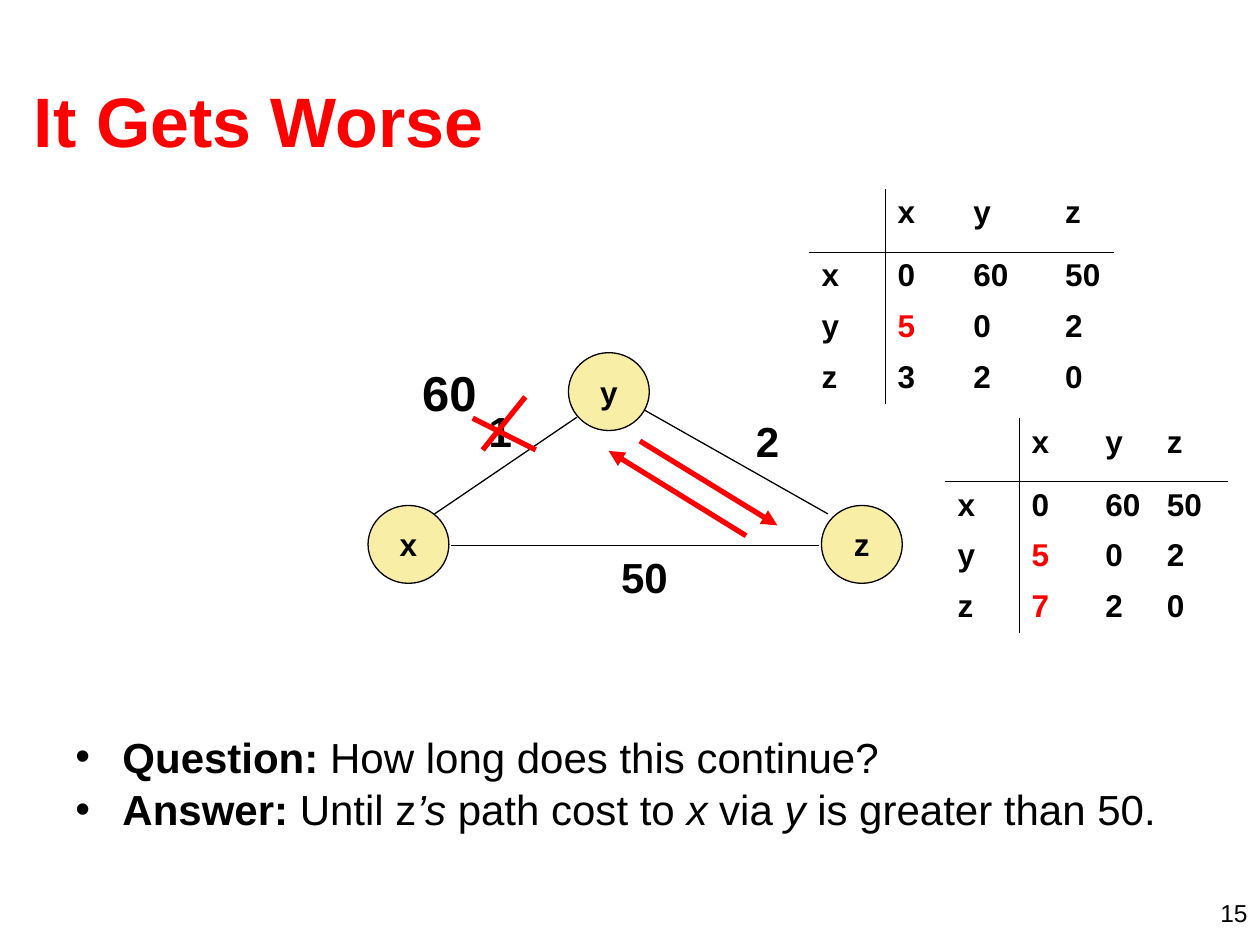
from dataclasses import dataclass
from typing import NamedTuple

from lxml.etree import SubElement
from pptx import Presentation
from pptx.dml.color import RGBColor as RGB
from pptx.enum.shapes import MSO_CONNECTOR as Connector, MSO_SHAPE as Shape
from pptx.enum.text import MSO_ANCHOR as Anchor, PP_ALIGN as Align
from pptx.oxml.ns import qn
from pptx.util import Cm, Pt


@dataclass(frozen=True)
class Theme:
    font: str = "Arial"
    ink: RGB = RGB(0x00, 0x00, 0x00)
    accent: RGB = RGB(0xFF, 0x00, 0x00)
    node: RGB = RGB(0xF8, 0xEE, 0xA6)
    title: int = 40
    new_cost: int = 28
    body: int = 24
    small: int = 18
    number: int = 14
    thin: float = 0.75
    thick: float = 3
    rule: float = 0.45


class Run(NamedTuple):
    text: str
    bold: bool = False
    italic: bool = False


class Node(NamedTuple):
    name: str
    left: float
    top: float


class Line(NamedTuple):
    start: tuple[float, float]
    end: tuple[float, float]
    red: bool = False
    arrow: bool = False


class Label(NamedTuple):
    text: str
    left: float
    top: float
    size: int


class CostTable(NamedTuple):
    left: float
    top: float
    widths: list[float]
    costs: list[list[int]]
    changed: set[tuple[int, int]]


T = Theme()
NAMES = ["x", "y", "z"]
NODE_WIDTH, NODE_HEIGHT = 1.63, 1.57
HEADER_HEIGHT, ROW_HEIGHT = 1.27, 1.02

NODES = [Node("y", 11.46, 7.11), Node("x", 7.42, 10.19), Node("z", 16.56, 10.19)]
LINKS = [
    Line((9.09, 11), (16.51, 11)),
    Line((8.76, 10.36), (11.63, 8.41)),
    Line((12.98, 8.26), (16.69, 10.36)),
]
LABELS = [
    Label("1", 9.6, 8.05, T.body),
    Label("2", 14.99, 8.26, T.body),
    Label("50", 12.27, 11, T.body),
    Label("60", 8.26, 7.19, T.new_cost),
]
CROSS_AND_UPDATES = [
    Line((9.53, 8.43), (10.8, 9.07), red=True),
    Line((10.59, 8), (9.73, 9.07), red=True),
    Line((12.9, 8.89), (15.67, 10.59), red=True, arrow=True),
    Line((15.04, 10.8), (12.27, 9.09), red=True, arrow=True),
]
TABLES = [
    CostTable(16.31, 3.81, [1.53, 1.53, 1.85, 1.23],
              [[0, 60, 50], [5, 0, 2], [3, 2, 0]], {(2, 1)}),
    CostTable(19.05, 8.43, [1.49, 1.49, 1.24, 1.48],
              [[0, 60, 50], [5, 0, 2], [7, 2, 0]], {(2, 1), (3, 1)}),
]
BULLETS = [
    [Run("Question:", bold=True), Run(" How long does this continue?")],
    [Run("Answer:", bold=True), Run(" Until z"), Run("’s ", italic=True),
     Run("path cost to "), Run("x", italic=True), Run(" via "),
     Run("y ", italic=True), Run("is greater than 50.")],
]


def add_run(p, run: Run, size: int, color: RGB = T.ink) -> None:
    r = p.add_run()
    r.text = run.text
    r.font.name, r.font.size = T.font, Pt(size)
    r.font.bold, r.font.italic = run.bold, run.italic
    r.font.color.rgb = color


def add_box(s, left: float, top: float, width: float, height: float):
    tf = s.shapes.add_textbox(Cm(left), Cm(top), Cm(width), Cm(height)).text_frame
    tf.word_wrap = True
    return tf


def add_title(s, text: str) -> None:
    sp = s.shapes.title
    sp.left, sp.top, sp.width, sp.height = Cm(0.43), Cm(0.81), Cm(24.33), Cm(3.18)
    sp.text_frame.vertical_anchor = Anchor.MIDDLE
    p = sp.text_frame.paragraphs[0]
    p.alignment = Align.LEFT
    add_run(p, Run(text, bold=True), T.title, T.accent)


def add_node(s, node: Node) -> None:
    sp = s.shapes.add_shape(Shape.OVAL, Cm(node.left), Cm(node.top),
                            Cm(NODE_WIDTH), Cm(NODE_HEIGHT))
    sp.shadow.inherit = False
    sp.fill.solid()
    sp.fill.fore_color.rgb = T.node
    sp.line.color.rgb, sp.line.width = T.ink, Pt(T.thin)
    tf = sp.text_frame
    tf.word_wrap, tf.vertical_anchor = False, Anchor.MIDDLE
    tf.paragraphs[0].alignment = Align.CENTER
    add_run(tf.paragraphs[0], Run(node.name, bold=True), T.small)


def add_line(s, line: Line) -> None:
    cx = s.shapes.add_connector(Connector.STRAIGHT, *map(Cm, line.start + line.end))
    cx.line.color.rgb = T.accent if line.red else T.ink
    cx.line.width = Pt(T.thick if line.red else T.thin)
    if line.arrow:
        SubElement(cx.line._get_or_add_ln(), qn("a:tailEnd"), type="triangle")
    SubElement(cx._element.spPr, qn("a:effectLst"))


def add_label(s, label: Label) -> None:
    tf = add_box(s, label.left, label.top, 0.6 + 0.55 * len(label.text), 1.27)
    add_run(tf.paragraphs[0], Run(label.text, bold=True), label.size)


def set_borders(cell, ruled: set[str]) -> None:
    """Rule the named edges (L, R, T, B) and clear the others."""
    tc_pr = cell._tc.get_or_add_tcPr()
    for edge in "LRTB":
        ln = SubElement(tc_pr, qn(f"a:ln{edge}"), w=str(Pt(T.rule)))
        if edge in ruled:
            fill = SubElement(ln, qn("a:solidFill"))
            SubElement(fill, qn("a:srgbClr"), val=str(T.ink))
        else:
            SubElement(ln, qn("a:noFill"))


def add_cost_table(s, spec: CostTable) -> None:
    rows = [["", *NAMES]] + [[n, *map(str, c)] for n, c in zip(NAMES, spec.costs)]
    heights = [HEADER_HEIGHT] + [ROW_HEIGHT] * len(NAMES)
    table = s.shapes.add_table(len(rows), len(spec.widths), Cm(spec.left), Cm(spec.top),
                               Cm(sum(spec.widths)), Cm(sum(heights))).table
    table.first_row = table.horz_banding = False
    for col, width in zip(table.columns, spec.widths):
        col.width = Cm(width)
    rule_rows, rule_cols = {0: "B", 1: "T"}, {0: "R", 1: "L"}
    for i, values in enumerate(rows):
        table.rows[i].height = Cm(heights[i])
        for j, value in enumerate(values):
            cell = table.cell(i, j)
            set_borders(cell, {rule_rows.get(i), rule_cols.get(j)})
            cell.fill.background()
            if value:
                color = T.accent if (i, j) in spec.changed else T.ink
                add_run(cell.text_frame.paragraphs[0], Run(value, bold=True), T.small, color)


def add_bullets(s, bullets: list[list[Run]]) -> None:
    tf = add_box(s, 1.27, 14.81, 22.86, 2.21)
    for i, runs in enumerate(bullets):
        p = tf.add_paragraph() if i else tf.paragraphs[0]
        p.line_spacing = 0.8
        if i:
            p.space_before = Pt(7)
        p_pr = p._p.get_or_add_pPr()
        p_pr.set("marL", str(Cm(0.95)))
        p_pr.set("indent", str(-Cm(0.95)))
        SubElement(p_pr, qn("a:buFont"), typeface=T.font)
        SubElement(p_pr, qn("a:buChar"), char="•")
        for run in runs:
            add_run(p, run, T.body)


def add_slide_number(s, number: str) -> None:
    p = add_box(s, 19.48, 17.98, 5.92, 0.64).paragraphs[0]
    p.alignment = Align.RIGHT
    add_run(p, Run(number), T.number)


def main() -> None:
    prs = Presentation()
    prs.slide_width, prs.slide_height = Cm(25.4), Cm(19.05)
    s = prs.slides.add_slide(prs.slide_layouts[5])
    add_slide_number(s, "15")
    add_title(s, "It Gets Worse")
    add_bullets(s, BULLETS)
    for draw, items in [(add_node, NODES), (add_line, LINKS), (add_label, LABELS),
                        (add_line, CROSS_AND_UPDATES), (add_cost_table, TABLES)]:
        for item in items:
            draw(s, item)
    prs.save("out.pptx")


if __name__ == "__main__":
    main()
